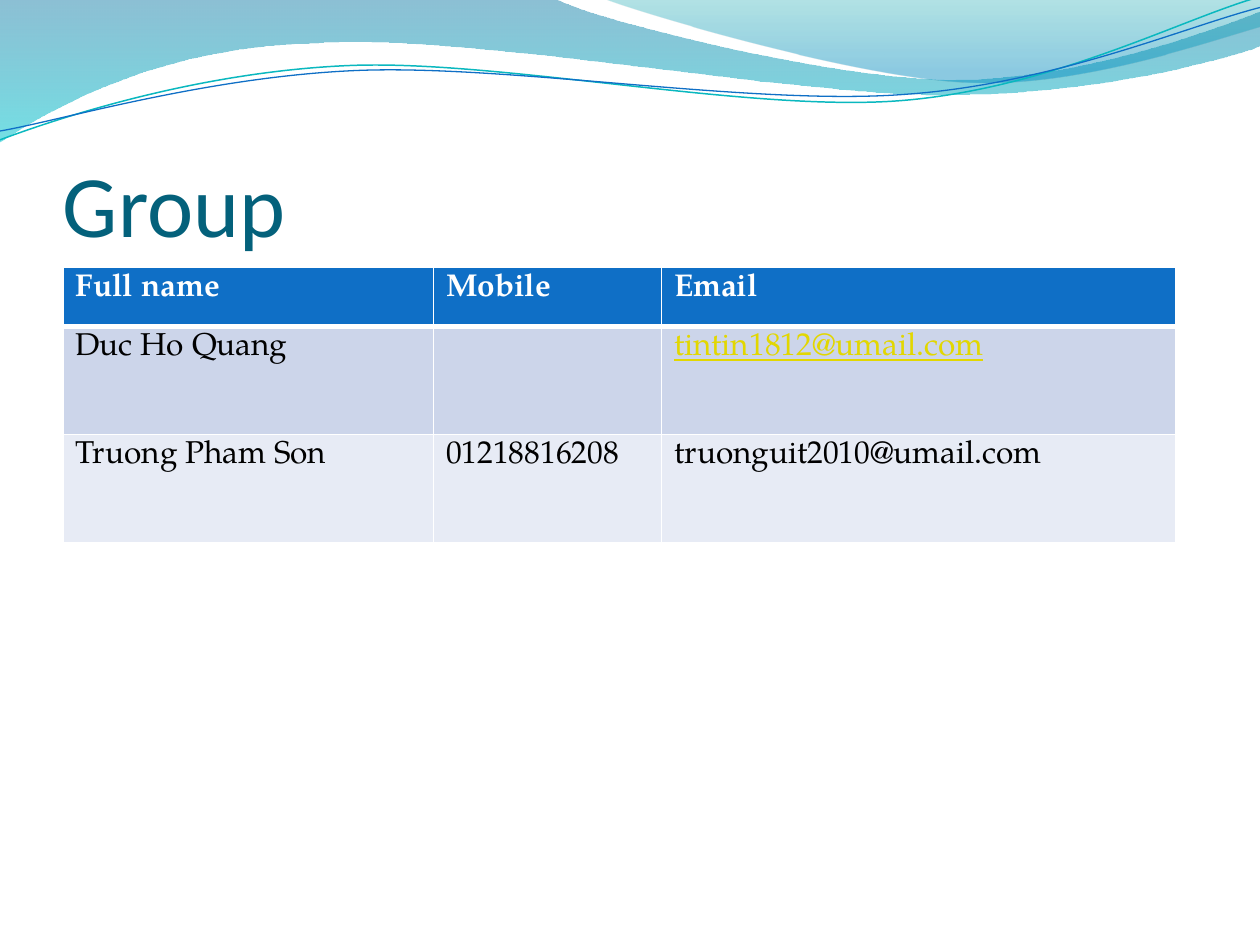
from dataclasses import dataclass
from math import cos, radians, sin

from lxml.etree import SubElement
from pptx import Presentation
from pptx.dml.color import RGBColor
from pptx.enum.text import MSO_ANCHOR
from pptx.oxml.ns import qn
from pptx.util import Inches, Pt

WHITE = RGBColor(0xFF, 0xFF, 0xFF)
BLACK = RGBColor(0x00, 0x00, 0x00)
BLUE = RGBColor(0x0F, 0x6F, 0xC6)
TURQUOISE = RGBColor(0x0A, 0xB8, 0xBF)
TITLE_TEAL = RGBColor(0x04, 0x61, 0x7B)
LINK_YELLOW = RGBColor(0xE2, 0xD7, 0x00)
BAND_DARK = RGBColor(0xCC, 0xD5, 0xEA)
BAND_LIGHT = RGBColor(0xE7, 0xEB, 0xF5)
DEEP_BLUE = RGBColor(0x00, 0x74, 0xA1)
CYAN = RGBColor(0x00, 0xC6, 0xCF)
SEA_GREEN = RGBColor(0x00, 0xA1, 0xA9)
SKY_BLUE = RGBColor(0x00, 0x8B, 0xBF)

TITLE_FONT, BODY_FONT = "Calibri", "TeX Gyre Pagella"
LINE_TILT = -2.7  # degrees


@dataclass
class GradientStop:
    position: float
    color: RGBColor
    opacity: int  # percent


@dataclass
class Wave:
    """Start point, then segments: (x, y) for a line, six numbers for a curve."""
    start: tuple[float, float]
    segments: list[tuple[float, ...]]
    stops: tuple[GradientStop, ...] = ()
    line_color: RGBColor | None = None
    line_width: float = 0
    center: tuple[float, float] = (0, 0)
    tilt: float = 0


WAVES = [
    Wave((0, 0), [
        (4.4, -0.01), (4.76, 0.17, 6.64, 0.63, 7.58, 0.63),
        (8.53, 0.63, 9.58, 0.26, 10, 0.09), (10.01, 0.36),
        (9.83, 0.44, 8.7, 0.76, 7.46, 0.75), (6.22, 0.75, 3.82, 0.28, 2.57, 0.34),
        (1.29, 0.36, 0.46, 0.83, -0.01, 1.13), (0, 0)],
        stops=(GradientStop(0, DEEP_BLUE, 45), GradientStop(1, CYAN, 55))),
    Wave((4.79, -0.01), [
        (5.09, 0.11, 6.82, 0.62, 7.69, 0.65), (8.56, 0.69, 9.61, 0.32, 10, 0.21),
        (10, 0), (4.79, -0.01)],
        stops=(GradientStop(0, SEA_GREEN, 30), GradientStop(0.8, SKY_BLUE, 45))),
    Wave((0, 1.11), [
        (0.48, 0.93, 1.58, 0.57, 2.77, 0.52), (3.95, 0.47, 5.93, 0.89, 7.13, 0.8),
        (8.33, 0.71, 9.38, 0.15, 9.98, -0.02)],
        line_color=TURQUOISE, line_width=0.85, center=(4.99, 0.58), tilt=LINE_TILT),
    Wave((0, 1.04), [
        (0.47, 0.96, 1.64, 0.61, 2.83, 0.56), (4.03, 0.51, 5.97, 0.84, 7.17, 0.75),
        (8.36, 0.67, 9.41, 0.21, 10, 0.06)],
        line_color=BLUE, line_width=0.75, center=(5, 0.59), tilt=LINE_TILT),
]


@dataclass
class GroupRow:
    texts: tuple[str, str, str]
    height: float
    fill: RGBColor
    color: RGBColor = BLACK
    bold: bool = False
    top_border: float = 1
    bottom_border: float = 1


COLUMN_WIDTHS = (2.94, 1.81, 4.08)
LINKED_EMAIL = "tintin1812@umail.com"
GROUP_ROWS = [
    GroupRow(("Full name", "Mobile", "Email"), 0.47, BLUE, WHITE, True, bottom_border=3),
    GroupRow(("Duc Ho Quang", "", LINKED_EMAIL), 0.86, BAND_DARK, top_border=3),
    GroupRow(("Truong Pham Son", "01218816208", "truonguit2010@umail.com"), 0.86, BAND_LIGHT),
]


def level_points(wave: Wave) -> list[tuple[int, int]]:
    """All points of the outline, turned back to where they lie before the tilt."""
    points = [wave.start]
    for segment in wave.segments:
        points += zip(segment[::2], segment[1::2])
    angle, (cx, cy) = radians(-wave.tilt), wave.center
    return [(Inches(cx + (x - cx) * cos(angle) - (y - cy) * sin(angle)),
             Inches(cy + (x - cx) * sin(angle) + (y - cy) * cos(angle)))
            for x, y in points]


def bend_segments(shape, segments: list[tuple[float, ...]]) -> None:
    """Merge the three straight pieces of every curve into one cubic curve."""
    pieces = iter(list(shape._element.iter(qn("a:lnTo"))))
    for segment in segments:
        first = next(pieces)
        if len(segment) == 2:
            continue
        first.tag = qn("a:cubicBezTo")
        for _ in range(2):
            piece = next(pieces)
            first.append(piece[0])
            piece.getparent().remove(piece)


def draw_wave(slide, wave: Wave) -> None:
    start, *rest = level_points(wave)
    builder = slide.shapes.build_freeform(*start, scale=1.0)
    builder.add_line_segments(rest, close=bool(wave.stops))
    shape = builder.convert_to_shape()
    shape.shadow.inherit = False
    shape.rotation = wave.tilt
    if wave.stops:
        fill_gradient(shape, wave.stops)
    else:
        shape.fill.background()
        shape.line.color.rgb = wave.line_color
        shape.line.width = Pt(wave.line_width)
    bend_segments(shape, wave.segments)


def fill_gradient(shape, stops: tuple[GradientStop, ...]) -> None:
    shape.line.fill.background()
    shape.fill.gradient()
    shape.fill.gradient_angle = 270  # top to bottom
    for target, stop in zip(shape.fill.gradient_stops, stops):
        target.position = stop.position
        target.color.rgb = stop.color
    gradient = shape._element.spPr.find(qn("a:gradFill"))
    for color, stop in zip(gradient.iter(qn("a:srgbClr")), stops):
        SubElement(color, qn("a:alpha"), val=str(stop.opacity * 1000))


def add_run(paragraph, text: str, font: str, size: float, color: RGBColor,
            bold: bool = False, underline: bool = False) -> None:
    run = paragraph.add_run()
    run.text = text
    run.font.name = font
    run.font.size = Pt(size)
    run.font.color.rgb = color
    run.font.bold = bold
    run.font.underline = underline


def draw_title(slide, text: str) -> None:
    title = slide.shapes.add_textbox(Inches(0.5), Inches(0.77), Inches(9), Inches(1.25))
    frame = title.text_frame
    frame.word_wrap = True
    frame.vertical_anchor = MSO_ANCHOR.BOTTOM
    frame.margin_left = frame.margin_right = frame.margin_bottom = 0
    frame.margin_top = Inches(0.05)
    add_run(frame.paragraphs[0], text, TITLE_FONT, 50, TITLE_TEAL)


def set_borders(cell, top: float, bottom: float) -> None:
    properties = cell._tc.get_or_add_tcPr()
    for side, width in (("L", 1), ("R", 1), ("T", top), ("B", bottom)):
        border = SubElement(properties, qn(f"a:ln{side}"), w=str(Pt(width)))
        fill = SubElement(border, qn("a:solidFill"))
        SubElement(fill, qn("a:srgbClr"), val=str(WHITE))


def draw_group_table(slide, rows: list[GroupRow]) -> None:
    table = slide.shapes.add_table(
        len(rows), len(COLUMN_WIDTHS), Inches(0.5), Inches(2.12),
        Inches(sum(COLUMN_WIDTHS)), Inches(sum(row.height for row in rows))).table
    for column, width in zip(table.columns, COLUMN_WIDTHS):
        column.width = Inches(width)
    for table_row, row in zip(table.rows, rows):
        table_row.height = Inches(row.height)
        for cell, text in zip(table_row.cells, row.texts):
            set_borders(cell, row.top_border, row.bottom_border)
            cell.fill.solid()
            cell.fill.fore_color.rgb = row.fill
            if text:
                linked = text == LINKED_EMAIL
                add_run(cell.text_frame.paragraphs[0], text, BODY_FONT, 18,
                        LINK_YELLOW if linked else row.color, row.bold, linked)


def main() -> None:
    presentation = Presentation()
    presentation.slide_width, presentation.slide_height = Inches(10), Inches(7.5)
    slide = presentation.slides.add_slide(presentation.slide_layouts[6])

    # Wave banner
    for wave in WAVES:
        draw_wave(slide, wave)

    # Title and member table
    draw_title(slide, "Group")
    draw_group_table(slide, GROUP_ROWS)

    presentation.save("out.pptx")


if __name__ == "__main__":
    main()
